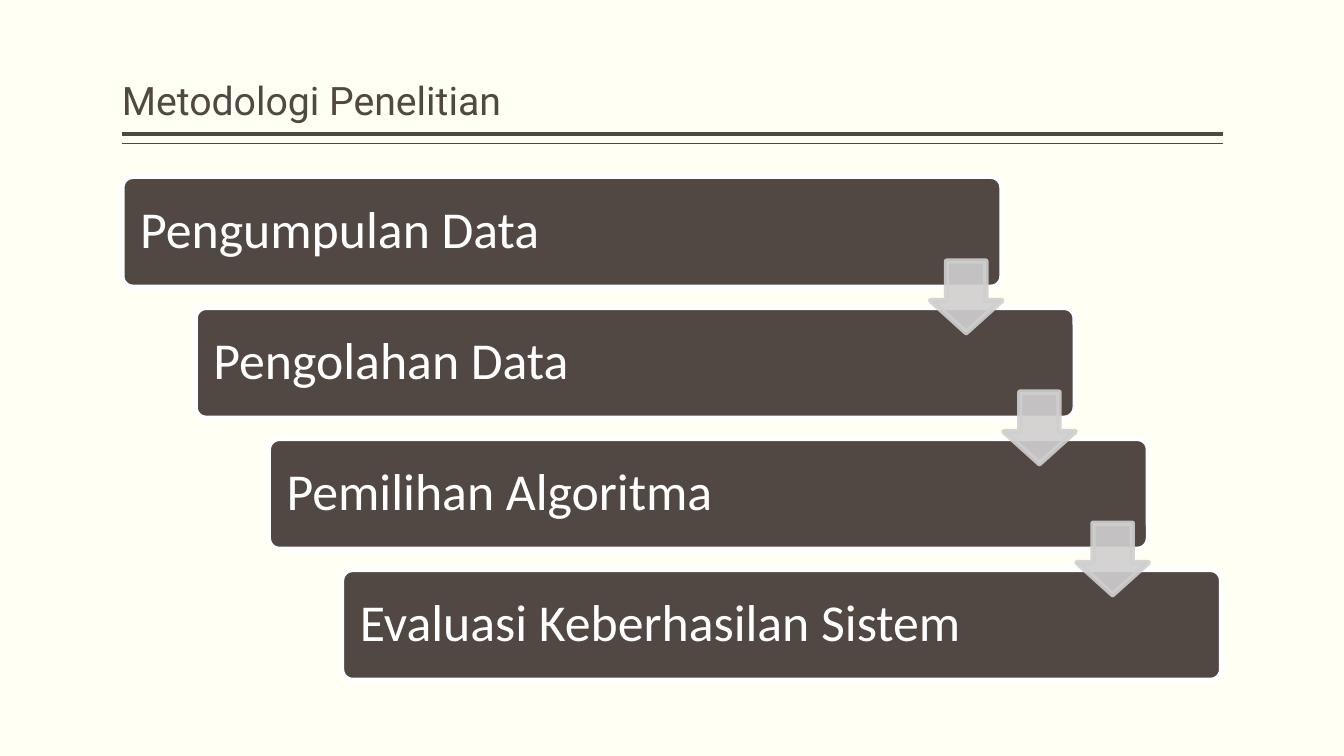
from lxml import etree
from pptx import Presentation
from pptx.dml.color import RGBColor
from pptx.enum import shapes, text
from pptx.oxml import ns
from pptx.util import Pt

STEPS = ["Pengumpulan Data", "Pengolahan Data", "Pemilihan Algoritma",
         "Evaluasi Keberhasilan Sistem"]
LEFT, RIGHT = 87.1, 873.4
BAR_TOP, BAR_WIDTH, BAR_HEIGHT = 126, 628.6, 79.2
STEP_X, STEP_Y = 52.3, 93.6
ARROW_SIZE, ARROW_DROP = 51.1, 60.5


def color(value):
    return RGBColor.from_string(value)


def set_values(target, values):
    for name, value in values.items():
        setattr(target, name, value)


class StaircaseSlide:
    paper, dark, white, gray = "FFFFF3", "514843", "FFFFFF", "D0CFCF"
    outline = 3.78

    def __init__(self, presentation):
        self.slide = presentation.slides.add_slide(presentation.slide_layouts[5])
        background = self.slide.background.fill
        background.solid()
        background.fore_color.rgb = color(self.paper)

    def label(self, shape, words, font, size, ink, frame_format):
        frame = shape.text_frame
        set_values(frame, {"word_wrap": True, "auto_size": text.MSO_AUTO_SIZE.NONE,
                           **frame_format})
        paragraph = frame.paragraphs[0]
        set_values(paragraph, {"alignment": text.PP_ALIGN.LEFT, "line_spacing": 0.9})
        run = paragraph.add_run()
        run.text = words
        set_values(run.font, {"name": font, "size": Pt(size)})
        run.font.color.rgb = color(ink)

    def title(self, words, left, top, width, height):
        title = self.slide.shapes.title
        set_values(title, {"left": Pt(left), "top": Pt(top),
                           "width": Pt(width), "height": Pt(height)})
        self.label(title, words, "Roboto", 28, self.dark, {
            "vertical_anchor": text.MSO_ANCHOR.BOTTOM,
            "margin_left": 0, "margin_right": 0,
            "margin_top": Pt(3.6), "margin_bottom": Pt(3.6)})

    def rule(self, y, width):
        line = self.slide.shapes.add_connector(
            shapes.MSO_CONNECTOR.STRAIGHT, Pt(RIGHT), Pt(y), Pt(LEFT), Pt(y))
        line.line.width = Pt(width)
        line.line.color.rgb = color(self.dark)
        etree.SubElement(line._element.spPr, ns.qn("a:effectLst"))

    def block(self, kind, box, adjustments, fill, line):
        shape = self.slide.shapes.add_shape(kind, *map(Pt, box))
        for index, value in enumerate(adjustments):
            shape.adjustments[index] = value
        shape.shadow.inherit = False
        shape.fill.solid()
        shape.fill.fore_color.rgb = color(fill)
        shape.line.color.rgb = color(line)
        shape.line.width = Pt(self.outline)
        return shape

    def bar(self, words, left, top):
        bar = self.block(shapes.MSO_SHAPE.ROUNDED_RECTANGLE,
                         (left, top, BAR_WIDTH, BAR_HEIGHT), [0.1],
                         self.dark, self.white)
        margins = {f"margin_{side}": Pt(10.8)
                   for side in ("left", "right", "top", "bottom")}
        self.label(bar, words, "Calibri", 37, self.white,
                   {"vertical_anchor": text.MSO_ANCHOR.MIDDLE, **margins})

    def arrow(self, left, top):
        arrow = self.block(shapes.MSO_SHAPE.DOWN_ARROW,
                           (left, top, ARROW_SIZE, ARROW_SIZE), [0.55, 0.45],
                           self.gray, self.gray)
        for paint in arrow._element.spPr.iter(ns.qn("a:srgbClr")):
            etree.SubElement(paint, ns.qn("a:alpha"), val="90000")


def main():
    presentation = Presentation()
    set_values(presentation, {"slide_width": Pt(960), "slide_height": Pt(540)})
    page = StaircaseSlide(presentation)
    page.title("Metodologi Penelitian", LEFT, 5.8, RIGHT - LEFT, 86.4)
    page.rule(95.8, 3)
    page.rule(102.6, 1)

    corners = [(LEFT + index * STEP_X, BAR_TOP + index * STEP_Y)
               for index in range(len(STEPS))]
    for words, (left, top) in zip(STEPS, corners):
        page.bar(words, left, top)
    for left, top in corners[:-1]:
        page.arrow(left + BAR_WIDTH - ARROW_SIZE, top + ARROW_DROP)
    presentation.save("out.pptx")


if __name__ == "__main__":
    main()
